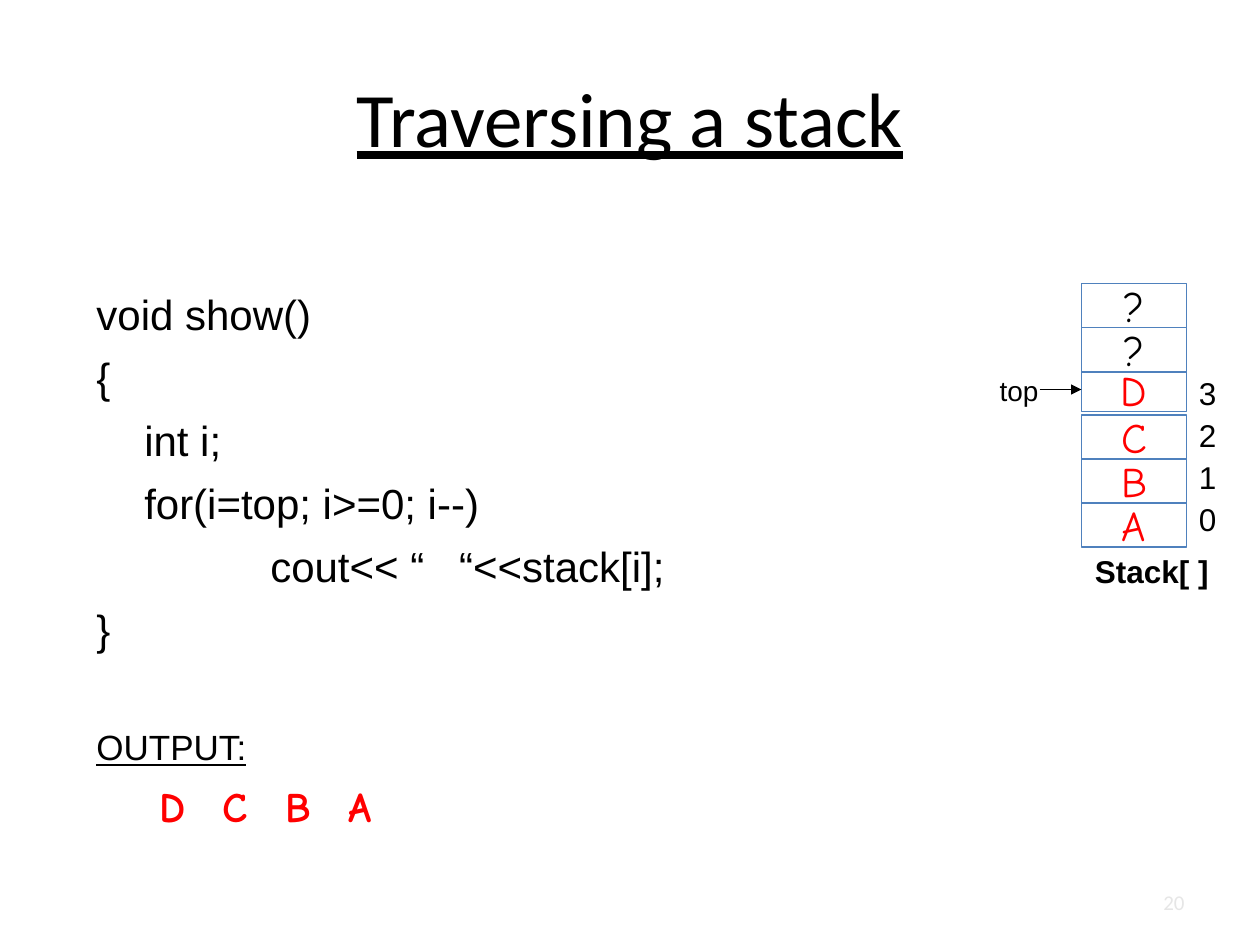
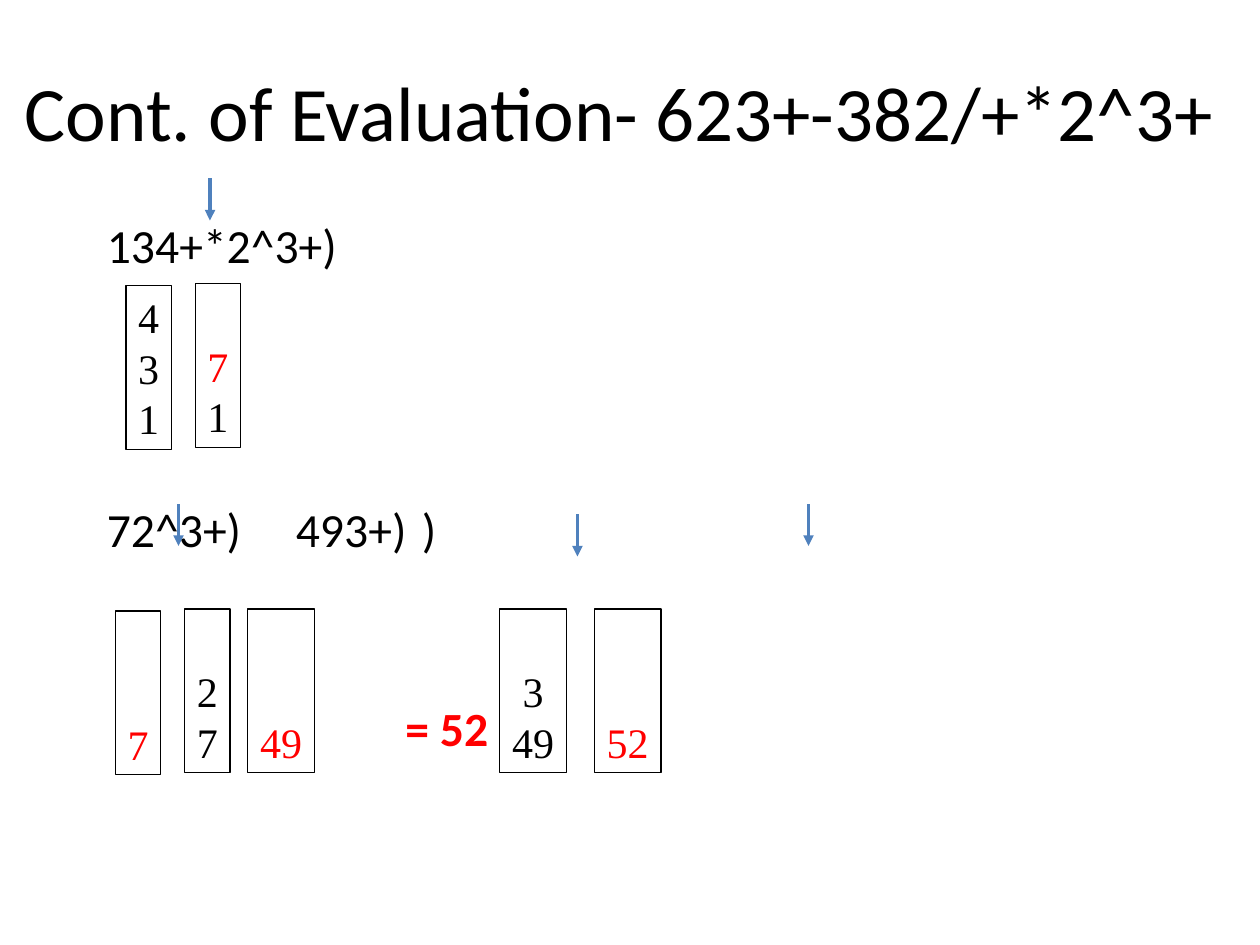
from dataclasses import dataclass

from lxml.etree import SubElement
from pptx import Presentation
from pptx.dml.color import RGBColor as Rgb
from pptx.enum.shapes import MSO_CONNECTOR as Connector, MSO_SHAPE as Preset
from pptx.enum.text import MSO_ANCHOR as Anchor, PP_ALIGN as Align
from pptx.oxml.ns import qn
from pptx.util import Emu, Inches, Pt

COLUMNS, ROWS = 120, 90
WIDTH, HEIGHT = Inches(10), Inches(7.5)


@dataclass(frozen=True)
class Theme:
    """Fonts, colours and type sizes of the deck."""
    heading: str = "Calibri"
    code: str = "Arial"
    hand: str = "Comic Neue"
    serif: str = "Times New Roman"
    ink: str = "000000"
    paper: str = "FFFFFF"
    accent: str = "4F81BD"
    result: str = "FF0000"
    faint: str = "E6E6E6"
    title_size: float = 44
    expression_size: float = 27.2
    code_size: float = 24
    output_size: float = 20
    index_size: float = 18
    pointer_size: float = 16
    page_size: float = 12


THEME = Theme()


@dataclass(frozen=True)
class Area:
    """A rectangle in grid columns and rows."""
    left: float
    top: float
    width: float
    height: float

    def emu(self) -> tuple:
        """Return the rectangle in slide units."""
        return across(self.left), down(self.top), across(self.width), down(self.height)


@dataclass(frozen=True)
class Style:
    """The look of a run."""
    font: str
    size: float
    color: str = THEME.ink
    bold: bool = False
    underline: bool = False


@dataclass(frozen=True)
class Line:
    """A paragraph with its spacing in points and its indents in inches."""
    text: str
    style: Style
    before: float = 0
    indent: float = 0
    stops: tuple = ()
    align: Align = Align.LEFT
    pitch: float = 0


@dataclass(frozen=True)
class Column:
    """The operand stack at one step, as values from top to bottom."""
    left: float
    top: float
    values: tuple
    results: tuple = ()
    width: float = 4.32


def across(columns: float) -> Emu:
    """Convert columns to slide units."""
    return Emu(round(WIDTH * columns / COLUMNS))


def down(rows: float) -> Emu:
    """Convert rows to slide units."""
    return Emu(round(HEIGHT * rows / ROWS))


def write(holder, lines: list, anchor=Anchor.TOP, wrap: bool = True, head: float = 0.05) -> None:
    """Fill a shape with styled paragraphs."""
    frame = holder.text_frame
    frame.word_wrap, frame.vertical_anchor = wrap, anchor
    frame.margin_top = Inches(head)
    for number, line in enumerate(lines):
        paragraph = frame.add_paragraph() if number else frame.paragraphs[0]
        paragraph.alignment, paragraph.space_before = line.align, Pt(line.before)
        if line.pitch:
            paragraph.line_spacing = Pt(line.pitch)
        properties = paragraph._p.get_or_add_pPr()
        properties.set("marL", str(Inches(line.indent)))
        properties.set("indent", "0")
        if line.stops:
            stops = SubElement(properties, qn("a:tabLst"))
            for stop in line.stops:
                SubElement(stops, qn("a:tab"), pos=str(Inches(stop)), algn="l")
        run = paragraph.add_run()
        run.text = line.text
        font, style = run.font, line.style
        font.name, font.size = style.font, Pt(style.size)
        font.bold, font.underline = style.bold, style.underline
        font.color.rgb = Rgb.from_string(style.color)


def add_text(slide, area: Area, lines: list, **options) -> None:
    """Place a text area."""
    write(slide.shapes.add_textbox(*area.emu()), lines, **options)


def add_box(slide, area: Area, lines: list, border: str, weight: float,
            fill: str = "", anchor=Anchor.MIDDLE):
    """Draw a bordered box holding text."""
    box = slide.shapes.add_shape(Preset.RECTANGLE, *area.emu())
    box.shadow.inherit = False
    if fill:
        box.fill.solid()
        box.fill.fore_color.rgb = Rgb.from_string(fill)
    else:
        box.fill.background()
    box.line.color.rgb, box.line.width = Rgb.from_string(border), Pt(weight)
    write(box, lines, anchor=anchor, wrap=False)
    return box


def add_arrow(slide, start: tuple, end: tuple, color: str, weight: float):
    """Draw a straight arrow between two grid points."""
    arrow = slide.shapes.add_connector(
        Connector.STRAIGHT, across(start[0]), down(start[1]), across(end[0]), down(end[1]))
    arrow.line.color.rgb, arrow.line.width = Rgb.from_string(color), Pt(weight)
    SubElement(arrow.line._get_or_add_ln(), qn("a:tailEnd"), type="triangle")
    SubElement(arrow._element.spPr, qn("a:effectLst"))
    return arrow


def add_title(slide, area: Area, text: str, underline: bool = False) -> None:
    """Write the slide title."""
    style = Style(THEME.heading, THEME.title_size, underline=underline)
    add_text(slide, area, [Line(text, style, align=Align.CENTER)], anchor=Anchor.MIDDLE)


def new_slide(deck):
    """Add a blank slide on a plain background."""
    slide = deck.slides.add_slide(deck.slide_layouts[6])
    slide.background.fill.solid()
    slide.background.fill.fore_color.rgb = Rgb.from_string(THEME.paper)
    return slide


def build_traversal(deck) -> None:
    """Show the traversal code beside the stack it prints."""
    slide = new_slide(deck)
    add_title(slide, Area(6, 3.6, 108, 15), "Traversing a stack", underline=True)
    code = Style(THEME.code, THEME.code_size)
    heading = Style(THEME.code, THEME.output_size, underline=True)
    printed = Style(THEME.hand, THEME.code_size, THEME.result, bold=True)
    gap = 7.2
    listing = [
        Line("void show()", code),
        Line("{", code, gap),
        Line("int i;", code, gap, 0.38),
        Line("for(i=top; i>=0; i--)", code, gap, 0.38),
        Line("cout<< “   “<<stack[i];", code, gap, 1.38),
        Line("}", code, gap),
        Line("OUTPUT:", heading, 41),
        Line("\tD\tC\tB\tA", printed, gap, stops=tuple(0.38 + 0.44 * n for n in range(4))),
    ]
    add_text(slide, Area(8, 21, 100, 59.4), listing, head=0.54)

    cells = {}
    tops = (47.9, 43.7, 39.5, 35, 27, 31.2)
    for value, top in zip("ABCD??", tops):
        color = THEME.ink if value == "?" else THEME.result
        entry = Line(value, Style(THEME.hand, THEME.code_size, color), align=Align.CENTER)
        cells[value] = add_box(slide, Area(103, top, 10, 4.2), [entry],
                               THEME.accent, 1, THEME.paper)

    pointer = Line("top", Style(THEME.code, THEME.pointer_size), align=Align.CENTER)
    add_text(slide, Area(94, 35, 6.1, 4.4), [pointer], wrap=False)
    arrow = add_arrow(slide, (99, 37.1), (103, 37.1), THEME.ink, 0.75)
    arrow.end_connect(cells["D"], 1)
    index_style = Style(THEME.code, THEME.index_size)
    for index in range(4):
        add_text(slide, Area(113, 47 - 4 * index, 4.1, 4.8),
                 [Line(str(index), index_style)], wrap=False)
    caption = Style(THEME.code, THEME.index_size, bold=True)
    add_text(slide, Area(103.1, 52, 13.2, 4.8), [Line("Stack[ ]", caption)], wrap=False)
    page = Style(THEME.heading, THEME.page_size, THEME.faint)
    add_text(slide, Area(86, 83.4, 28, 5), [Line("20", page, align=Align.RIGHT)],
             anchor=Anchor.MIDDLE)


def build_evaluation(deck) -> None:
    """Show the last steps of the postfix evaluation."""
    slide = new_slide(deck)
    add_title(slide, Area(-2, 3, 122, 15), "Cont. of Evaluation- 623+-382/+*2^3+")
    expression = Style(THEME.heading, THEME.expression_size)
    answer = Style(THEME.heading, THEME.expression_size, THEME.result, bold=True)
    add_text(slide, Area(9, 20, 102, 61), [
        Line("134+*2^3+)", expression),
        Line("72^3+)\t493+)\t)", expression, 129.7, stops=(4.37, 7.38)),
        Line("= 52", answer, 81.1, 2.37),
    ])
    for column, row in ((20, 17), (17, 48), (55, 49), (77, 48)):
        add_arrow(slide, (column, row), (column, row + 4), THEME.accent, 2)

    wide = 6.36
    steps = (
        Column(12, 27.2, ("4", "3", "1")),
        Column(18.6, 27, ("7", "1"), ("7",)),
        Column(11, 58.2, ("7",), ("7",)),
        Column(17.6, 58, ("2", "7")),
        Column(23.6, 58, ("49",), ("49",), wide),
        Column(47.6, 58, ("3", "49"), width=wide),
        Column(56.6, 58, ("52",), ("52",), wide),
    )
    for step in steps:
        operands = [
            Line(value, Style(THEME.serif, THEME.code_size,
                              THEME.result if value in step.results else THEME.ink),
                 align=Align.CENTER, pitch=28.8)
            for value in step.values
        ]
        add_box(slide, Area(step.left, step.top, step.width, 15.6), operands,
                THEME.ink, 0.75, anchor=Anchor.BOTTOM)


def main() -> None:
    """Build and save the deck."""
    deck = Presentation()
    deck.slide_width, deck.slide_height = WIDTH, HEIGHT
    build_traversal(deck)
    build_evaluation(deck)
    deck.save("out.pptx")


if __name__ == "__main__":
    main()
